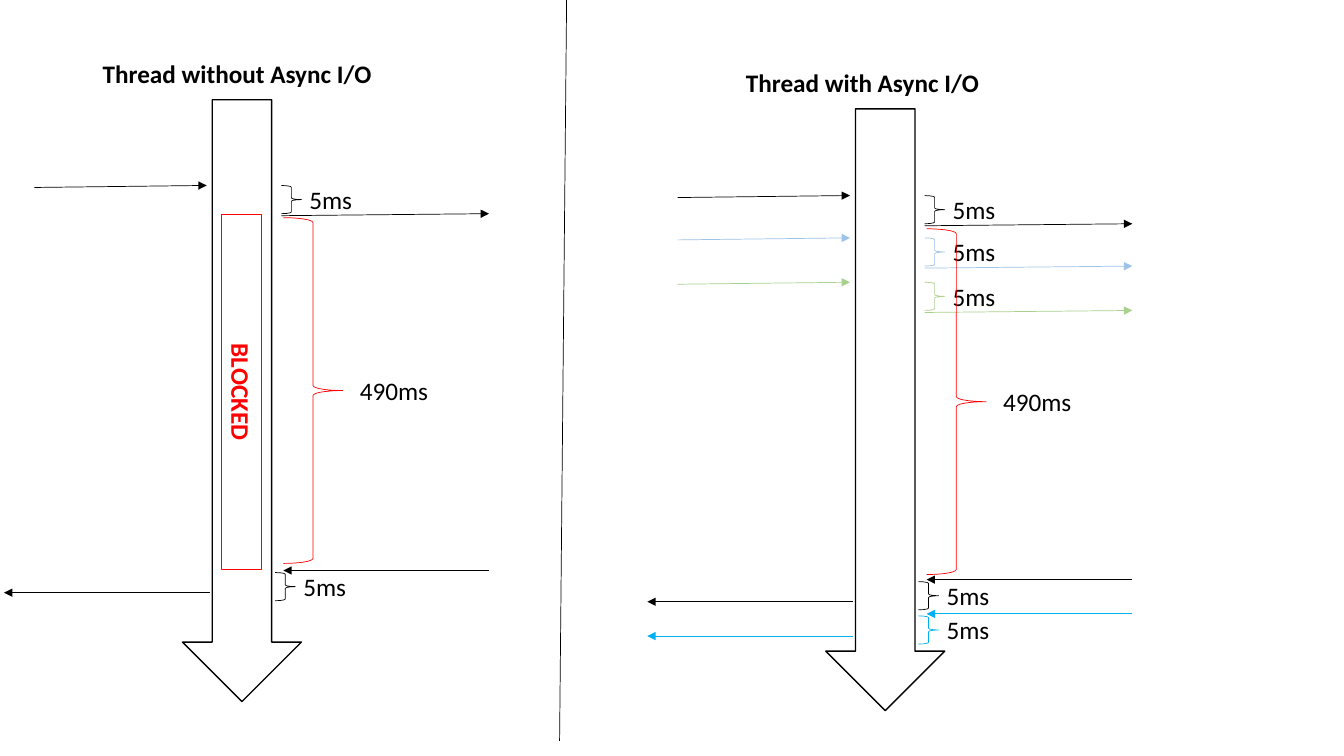
from pptx import Presentation
from pptx.dml.color import RGBColor
from pptx.enum.shapes import MSO_CONNECTOR, MSO_SHAPE
from pptx.enum.text import MSO_ANCHOR, MSO_AUTO_SIZE, PP_ALIGN
from pptx.oxml.ns import qn
from pptx.util import Pt
from lxml.etree import SubElement

PX = 9144  # 100 px to the inch
COLORS = {
    "black": "000000",
    "white": "FFFFFF",
    "red": "FF0000",
    "pale_blue": "9DC3E6",
    "green": "A9D18E",
    "blue": "00B0F0",
}


def px(*lengths):
    return [length * PX for length in lengths]


def rgb(color):
    return RGBColor.from_string(COLORS[color])


def add_line(slide, start, end, color="black", arrow=True):
    line = slide.shapes.add_connector(MSO_CONNECTOR.STRAIGHT, *px(*start, *end))
    line.line.color.rgb = rgb(color)
    line.line.width = Pt(0.5)
    if arrow:
        SubElement(line.line._get_or_add_ln(), qn("a:tailEnd"), type="triangle")
    SubElement(line._element.spPr, qn("a:effectLst"))


def add_outline(slide, kind, box, color="black", width=0.5, fill=None):
    sp = slide.shapes.add_shape(kind, *px(*box))
    sp.shadow.inherit = False
    if fill:
        sp.fill.solid()
        sp.fill.fore_color.rgb = rgb(fill)
    else:
        sp.fill.background()
    sp.line.color.rgb = rgb(color)
    sp.line.width = Pt(width)
    return sp


def write(sp, text, color="black", bold=False, align=PP_ALIGN.LEFT):
    tf = sp.text_frame
    tf.word_wrap = True
    tf.auto_size = MSO_AUTO_SIZE.SHAPE_TO_FIT_TEXT
    p = tf.paragraphs[0]
    p.text = text
    p.alignment = align
    p.font.name = "Calibri"
    p.font.size = Pt(18)
    p.font.bold = bold
    p.font.color.rgb = rgb(color)


def add_label(slide, x, y, width, text, bold=False):
    write(slide.shapes.add_textbox(*px(x, y, width, 40)), text, bold=bold)


def add_work(slide, x, y, color):
    """A short brace with its duration."""
    add_outline(slide, MSO_SHAPE.RIGHT_BRACE, (x, y, 20, 28), color)
    add_label(slide, x + 18, y - 6, 70, "5ms")


def add_request(slide, x, y, color):
    """A call comes in, is worked on, and goes out to I/O."""
    add_line(slide, (x - 147, y + 2), (x + 24, y), color)
    add_line(slide, (x + 98, y + 30), (x + 304, y + 28), color)
    add_work(slide, x + 98, y, color)


def add_response(slide, x, y, color):
    """I/O returns, and the thread replies to its caller."""
    add_line(slide, (x + 304, y), (x + 100, y), color)
    add_line(slide, (x + 27, y + 22), (x - 177, y + 22), color)
    add_work(slide, x + 92, y + 2, color)


def add_wait(slide, x, y):
    add_outline(slide, MSO_SHAPE.RIGHT_BRACE, (x + 100, y, 59, 343), "red")
    add_label(slide, x + 166, y + 151, 95, "490ms")


def add_blocked(slide, x, y):
    sp = add_outline(slide, MSO_SHAPE.RECTANGLE, (x - 118, y + 270, 353, 40), "red", 0.75)
    sp.rotation = 90
    sp.text_frame.vertical_anchor = MSO_ANCHOR.MIDDLE
    write(sp, "BLOCKED", "red", True, PP_ALIGN.CENTER)


def add_thread(slide, x, y, title, requests, responses, wait_top):
    """A thread timeline, placed from the top left of its down arrow."""
    add_outline(slide, MSO_SHAPE.DOWN_ARROW, (x, y, 118, 597), width=1, fill="white")
    add_label(slide, x - 89, y - 46, 375, title, bold=True)
    for offset, color in requests:
        add_request(slide, x, y + offset, color)
    for offset, color in responses:
        add_response(slide, x, y + offset, color)
    add_wait(slide, x, y + wait_top)


def main():
    prs = Presentation()
    prs.slide_width, prs.slide_height = px(1333, 750)
    slide = prs.slides.add_slide(prs.slide_layouts[6])

    # Left: one request blocks the thread
    add_thread(slide, 181, 99, "Thread without Async I/O",
               [(85, "black")], [(467, "black")], 117)
    add_blocked(slide, 181, 99)

    # Right: further requests are served during the wait
    add_thread(slide, 819, 108, "Thread with Async I/O",
               [(86, "black"), (128, "pale_blue"), (172, "green")],
               [(467, "black"), (501, "blue")], 119)

    # Divider
    add_line(slide, (562, 0), (555, 735), arrow=False)

    prs.save("out.pptx")


if __name__ == "__main__":
    main()
